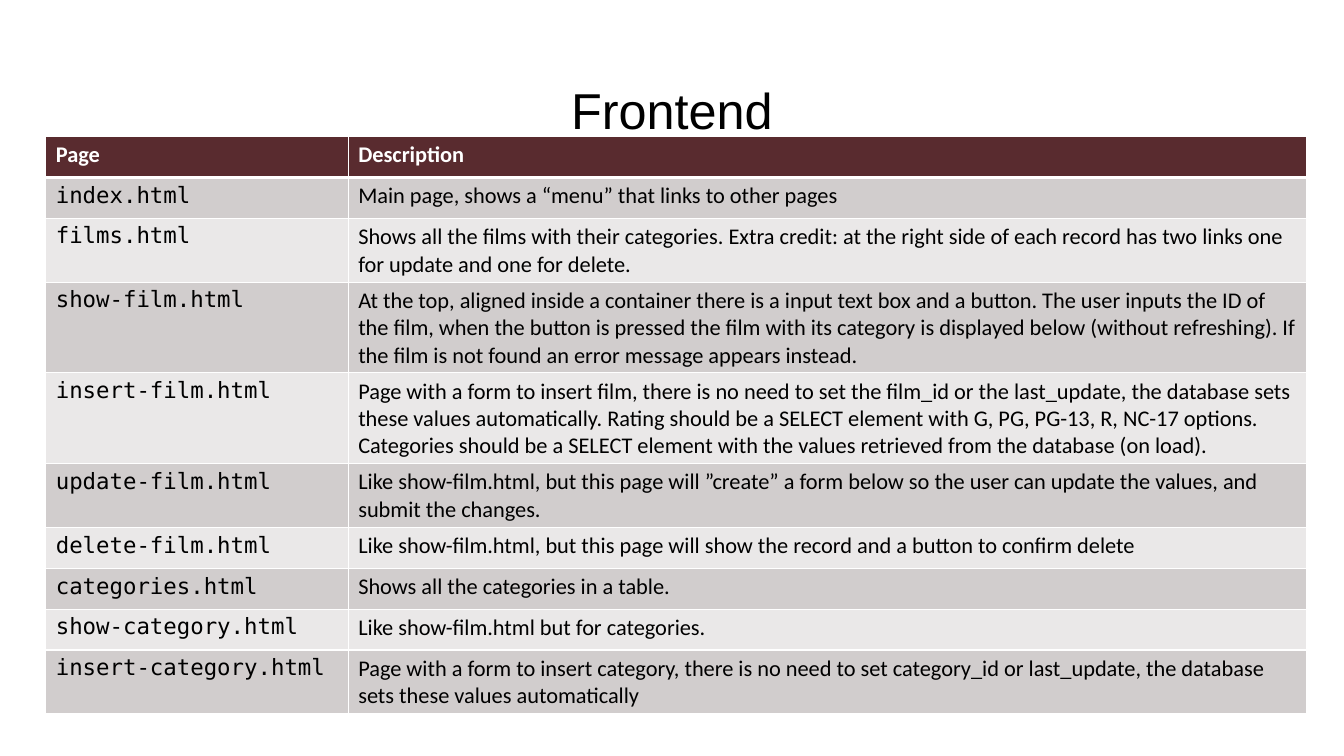
from lxml.etree import SubElement
from pptx import Presentation
from pptx.dml.color import RGBColor
from pptx.enum.text import MSO_ANCHOR, PP_ALIGN
from pptx.oxml.ns import qn
from pptx.util import Pt

TITLE = "Frontend"
HEAD = ("Page", "Description")
PAGES = [
    ("index.html", "Main page, shows a “menu” that links to other pages"),
    ("films.html",
     "Shows all the films with their categories. Extra credit: at the right side "
     "of each record has two links one for update and one for delete."),
    ("show-film.html",
     "At the top, aligned inside a container there is a input text box and a button. "
     "The user inputs the ID of the film, when the button is pressed the film with "
     "its category is displayed below (without refreshing). If the film is not found "
     "an error message appears instead."),
    ("insert-film.html",
     "Page with a form to insert film, there is no need to set the film_id or the "
     "last_update, the database sets these values automatically. Rating should be a "
     "SELECT element with G, PG, PG-13, R, NC-17 options. Categories should be a "
     "SELECT element with the values retrieved from the database (on load)."),
    ("update-film.html",
     "Like show-film.html, but this page will ”create” a form below so the user can "
     "update the values, and submit the changes."),
    ("delete-film.html",
     "Like show-film.html, but this page will show the record and a button to "
     "confirm delete"),
    ("categories.html", "Shows all the categories in a table."),
    ("show-category.html", "Like show-film.html but for categories."),
    ("insert-category.html",
     "Page with a form to insert category, there is no need to set category_id or "
     "last_update, the database sets these values automatically"),
]

BLACK = RGBColor(0x00, 0x00, 0x00)
WHITE = RGBColor(0xFF, 0xFF, 0xFF)
MAROON = RGBColor(0x59, 0x2B, 0x2F)
BANDS = (RGBColor(0xEA, 0xE8, 0xE8), RGBColor(0xD1, 0xCD, 0xCD))
SANS, MONO = "Calibri", "DejaVu Sans Mono"
COLS = (216, 684.5)
ROW = 29.2


def style(para, font, size, color, bold=False):
    for run in para.runs:
        run.font.name = font
        run.font.size = Pt(size)
        run.font.color.rgb = color
        run.font.bold = bold


def edge(cell, side, width):
    """Draw one white border; call before filling the cell, as XML order matters."""
    line = SubElement(cell._tc.get_or_add_tcPr(), qn("a:ln" + side), w=str(Pt(width)))
    fill = SubElement(line, qn("a:solidFill"))
    SubElement(fill, qn("a:srgbClr"), val=str(WHITE))


def add_title(slide):
    box = slide.shapes.add_textbox(Pt(66), Pt(28.75), Pt(828), Pt(104.4))
    frame = box.text_frame
    frame.word_wrap = True
    frame.vertical_anchor = MSO_ANCHOR.MIDDLE
    frame.text = TITLE
    para = frame.paragraphs[0]
    para.alignment = PP_ALIGN.CENTER
    para.line_spacing = 0.9
    style(para, "Arial", 36, BLACK)


def add_pages(slide):
    rows = [HEAD] + PAGES
    table = slide.shapes.add_table(
        len(rows), len(COLS), Pt(32.7), Pt(97.5), Pt(sum(COLS)), Pt(ROW * len(rows))
    ).table
    for col, width in zip(table.columns, COLS):
        col.width = Pt(width)
    for r, row in enumerate(rows):
        table.rows[r].height = Pt(ROW)
        head = r == 0
        for c, text in enumerate(row):
            cell = table.cell(r, c)
            for side in "LRTB":
                thick = (head and side == "B") or (r == 1 and side == "T")
                edge(cell, side, 3 if thick else 1)
            cell.fill.solid()
            cell.fill.fore_color.rgb = MAROON if head else BANDS[r % 2]
            cell.text_frame.text = text
            font = SANS if head or c else MONO
            style(cell.text_frame.paragraphs[0], font, 16, WHITE if head else BLACK, head)


def main():
    deck = Presentation()
    deck.slide_width, deck.slide_height = Pt(960), Pt(540)
    slide = deck.slides.add_slide(deck.slide_layouts[6])
    add_title(slide)
    add_pages(slide)
    deck.save("out.pptx")


if __name__ == "__main__":
    main()
